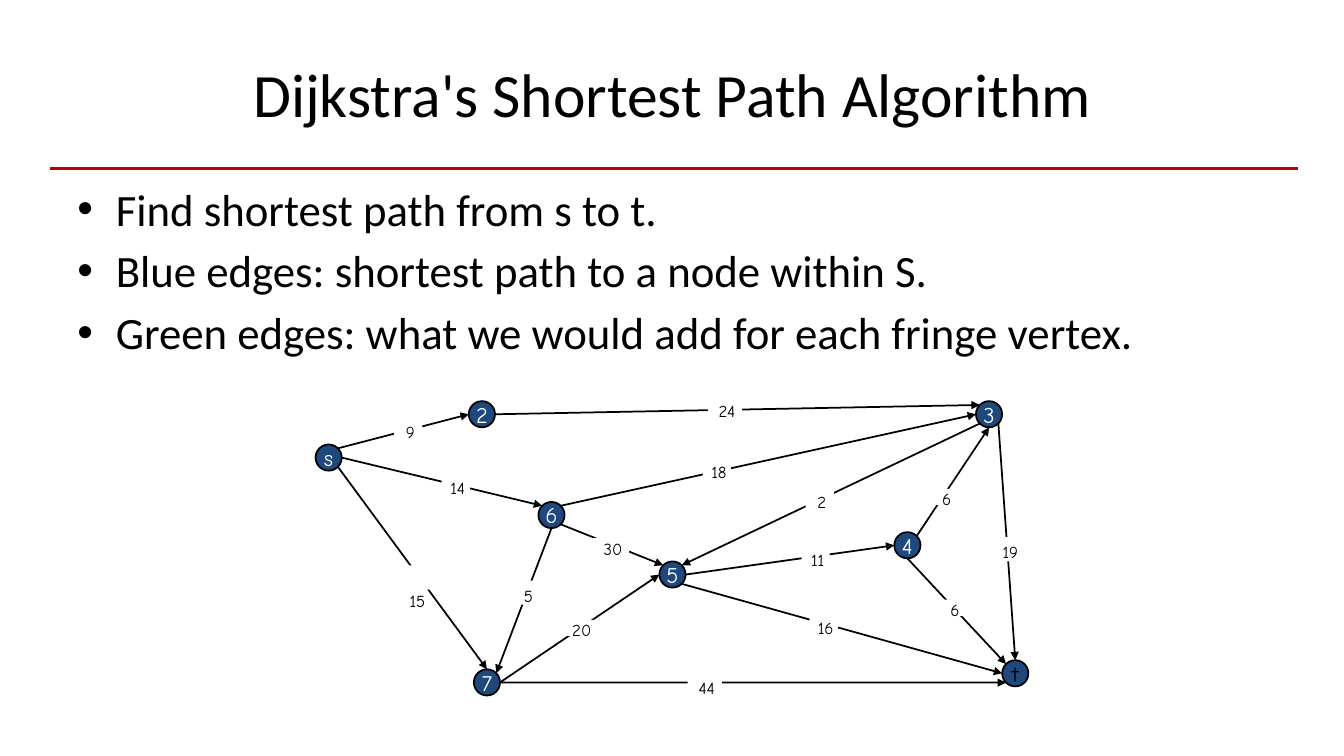
from lxml.etree import SubElement
from pptx import Presentation
from pptx.dml.color import RGBColor
from pptx.enum.shapes import MSO_CONNECTOR, MSO_SHAPE
from pptx.enum.text import MSO_ANCHOR, PP_ALIGN
from pptx.oxml.ns import qn
from pptx.util import Inches, Pt

NODE_SIZE = 0.26
DIAGONAL = 0.71
COMPASS = {
    "n": (0, -1), "s": (0, 1), "w": (-1, 0), "e": (1, 0),
    "nw": (-DIAGONAL, -DIAGONAL), "ne": (DIAGONAL, -DIAGONAL),
    "sw": (-DIAGONAL, DIAGONAL), "se": (DIAGONAL, DIAGONAL),
}

# Node name: centre x, centre y
nodes = {
    "s": (3.26, 4.54), "3": (9.81, 4.11), "t": (10.07, 6.68), "2": (4.78, 4.11),
    "6": (5.47, 5.11), "7": (4.83, 6.77), "4": (9.0, 5.41), "5": (6.67, 5.7),
}

# From node and side, to node and side, weight, label box, top inset
edges = [
    ("s", "ne", "2", "w", "9", (3.91, 4.18, 0.28, 0.16), 0),
    ("s", "e", "6", "nw", "14", (4.38, 4.74, 0.28, 0.16), 0),
    ("s", "se", "7", "n", "15", (3.98, 5.61, 0.28, 0.24), 0.26),
    ("6", "ne", "3", "w", "18", (6.97, 4.58, 0.28, 0.16), 0),
    ("4", "ne", "3", "s", "6", (9.23, 4.85, 0.28, 0.16), 0),
    ("6", "se", "5", "nw", "30", (5.88, 5.34, 0.36, 0.16), 0),
    ("5", "se", "t", "w", "16", (8.03, 6.13, 0.28, 0.16), 0),
    ("5", "e", "4", "w", "11", (7.95, 5.45, 0.28, 0.16), 0),
    ("4", "s", "t", "nw", "6", (9.31, 5.95, 0.28, 0.16), 0),
    ("3", "sw", "5", "ne", "2", (7.99, 4.88, 0.28, 0.16), 0),
    ("6", "s", "7", "ne", "5", (5.08, 5.76, 0.28, 0.24), 0.05),
    ("7", "e", "5", "w", "20", (5.58, 6.15, 0.34, 0.16), 0),
    ("2", "e", "3", "nw", "24", (7.02, 3.98, 0.34, 0.16), 0),
    ("7", "e", "t", "sw", "44", (6.82, 6.72, 0.34, 0.16), 0),
    ("3", "se", "t", "n", "19", (9.86, 5.33, 0.28, 0.24), 0.05),
]


def add_run(paragraph, text, size, font, color):
    run = paragraph.add_run()
    run.text = text
    run.font.size = Pt(size)
    run.font.name = font
    run.font.color.rgb = RGBColor.from_string(color)


def add_line(start, end, color, width):
    """Draw a straight line without shadow; points are in inches."""
    line = slide.shapes.add_connector(
        MSO_CONNECTOR.STRAIGHT, *(Inches(value) for value in (*start, *end)))
    line.line.color.rgb = RGBColor.from_string(color)
    line.line.width = Pt(width)
    SubElement(line._element.spPr, qn("a:effectLst"))
    return line


prs = Presentation()
prs.slide_width, prs.slide_height = Inches(13.33), Inches(7.5)
slide = prs.slides.add_slide(prs.slide_layouts[5])

# Title and rule
title = slide.shapes.title
title.left, title.top = Inches(0.67), Inches(0.3)
title.width, title.height = Inches(12), Inches(1.25)
title.text_frame.vertical_anchor = MSO_ANCHOR.MIDDLE
heading = title.text_frame.paragraphs[0]
heading.alignment = PP_ALIGN.CENTER
add_run(heading, "Dijkstra's Shortest Path Algorithm", 44, "Calibri", "000000")
add_line((0.5, 1.67), (12.87, 1.67), "C00000", 2)

# Bullets
explanation = slide.shapes.add_textbox(
    Inches(0.67), Inches(1.75), Inches(12), Inches(2.1)).text_frame
explanation.word_wrap = True
points = [
    "Find shortest path from s to t.",
    "Blue edges: shortest path to a node within S.",
    "Green edges: what we would add for each fringe vertex.",
]
for index, point in enumerate(points):
    paragraph = explanation.add_paragraph() if index else explanation.paragraphs[0]
    paragraph.space_before = Pt(5.6)
    add_run(paragraph, point, 32, "Calibri", "000000")
    properties = paragraph._p.get_or_add_pPr()
    properties.set("marL", str(Inches(0.38)))
    properties.set("indent", str(-Inches(0.38)))
    SubElement(properties, qn("a:buFont"), typeface="Arial")
    SubElement(properties, qn("a:buChar"), char="•")

# Graph nodes
for name, (x, y) in nodes.items():
    node = slide.shapes.add_shape(
        MSO_SHAPE.OVAL, Inches(x - NODE_SIZE / 2), Inches(y - NODE_SIZE / 2),
        Inches(NODE_SIZE), Inches(NODE_SIZE))
    node.shadow.inherit = False
    node.fill.solid()
    node.fill.fore_color.rgb = RGBColor.from_string("1F497D")
    node.line.color.rgb = RGBColor.from_string("000000")
    node.line.width = Pt(1.25)
    node.text_frame.word_wrap = False
    node.text_frame.vertical_anchor = MSO_ANCHOR.MIDDLE
    caption = node.text_frame.paragraphs[0]
    caption.alignment = PP_ALIGN.CENTER
    add_run(caption, name, 16, "Comic Neue", "000000" if name == "t" else "FFFFFF")

# Graph edges
for source, source_side, target, target_side, *_ in edges:
    start, end = (
        [centre + NODE_SIZE / 2 * offset
         for centre, offset in zip(nodes[name], COMPASS[side])]
        for name, side in ((source, source_side), (target, target_side)))
    edge = add_line(start, end, "000000", 1.25)
    SubElement(edge.line._get_or_add_ln(), qn("a:tailEnd"), type="triangle")

# Edge weights, each on a white box that interrupts its edge
for *_, weight, box, top_inset in edges:
    label = slide.shapes.add_shape(
        MSO_SHAPE.RECTANGLE, *(Inches(value) for value in box))
    label.shadow.inherit = False
    label.fill.solid()
    label.fill.fore_color.rgb = RGBColor.from_string("FFFFFF")
    label.line.fill.background()
    frame = label.text_frame
    frame.word_wrap = False
    frame.vertical_anchor = MSO_ANCHOR.TOP
    frame.margin_left = Inches(0.04)
    frame.margin_right = frame.margin_bottom = 0
    frame.margin_top = Inches(top_inset)
    frame.paragraphs[0].alignment = PP_ALIGN.CENTER
    add_run(frame.paragraphs[0], weight, 12, "Comic Neue", "000000")

prs.save("out.pptx")
